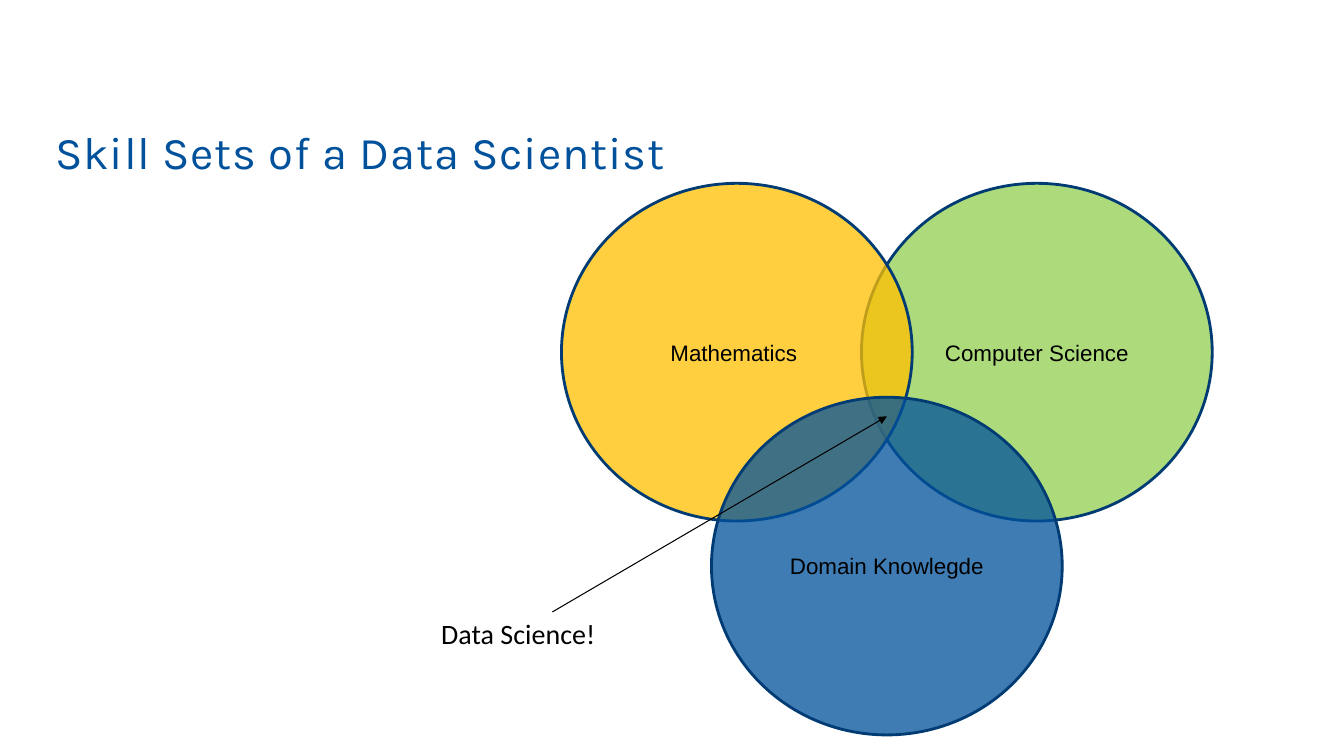
"""Build the slide on the skill sets of a data scientist as a Venn diagram."""
from dataclasses import dataclass

from lxml.etree import SubElement
from pptx import Presentation
from pptx.dml.color import RGBColor
from pptx.enum.shapes import MSO_CONNECTOR, MSO_SHAPE
from pptx.enum.text import MSO_ANCHOR, MSO_AUTO_SIZE, PP_ALIGN
from pptx.oxml.ns import qn
from pptx.util import Cm, Pt


@dataclass(frozen=True)
class Theme:
    blue: str = "00519C"
    outline: str = "003C73"
    green: str = "92D050"
    yellow: str = "FFC000"
    black: str = "000000"
    title_size: float = 32.4
    callout_size: float = 20
    label_size: float = 16
    title_font: str = "Karla"
    label_font: str = "Arial"
    callout_font: str = "Calibri"


theme = Theme()
TITLE = "Skill Sets of a Data Scientist"
CALLOUT = "Data Science!"
SKILLS = [
    ("Computer Science", theme.green, 2, 0),
    ("Mathematics ", theme.yellow, 0, 0),
    ("Domain Knowlegde", theme.blue, 1, 1),
]
VENN_LEFT, VENN_TOP = 14.15, 4.62
STEP_X, STEP_Y = 3.78, 5.39
CIRCLE_WIDTH, CIRCLE_HEIGHT = 8.84, 8.51
OPACITY = 75
ARROW_START, ARROW_END = (13.92, 15.42), (22.35, 10.49)


def write(shape, text, *, font, size, color, align=PP_ALIGN.LEFT,
          anchor=MSO_ANCHOR.TOP, wrap=True, spacing=0):
    frame = shape.text_frame
    frame.word_wrap = wrap
    frame.vertical_anchor = anchor
    paragraph = frame.paragraphs[0]
    paragraph.alignment = align
    run = paragraph.add_run()
    run.text = text
    run.font.name = font
    run.font.size = Pt(size)
    run.font.color.rgb = RGBColor.from_string(color)
    if spacing:
        run.font._element.set("spc", str(round(spacing * 100)))


def add_circle(shapes, label, color, column, row):
    circle = shapes.add_shape(
        MSO_SHAPE.OVAL,
        Cm(VENN_LEFT + column * STEP_X), Cm(VENN_TOP + row * STEP_Y),
        Cm(CIRCLE_WIDTH), Cm(CIRCLE_HEIGHT))
    circle.shadow.inherit = False
    circle.fill.solid()
    circle.fill.fore_color.rgb = RGBColor.from_string(color)
    fill_color = circle._element.spPr.find(qn("a:solidFill"))[0]
    SubElement(fill_color, qn("a:alpha")).set("val", str(OPACITY * 1000))
    circle.line.color.rgb = RGBColor.from_string(theme.outline)
    circle.line.width = Pt(2)
    write(circle, label, font=theme.label_font, size=theme.label_size,
          color=theme.black, align=PP_ALIGN.CENTER, anchor=MSO_ANCHOR.MIDDLE)


def add_arrow(shapes, start, end):
    arrow = shapes.add_connector(
        MSO_CONNECTOR.STRAIGHT, *map(Cm, start), *map(Cm, end))
    arrow.line.color.rgb = RGBColor.from_string(theme.black)
    arrow.line.width = Pt(0.75)
    SubElement(arrow.line._get_or_add_ln(), qn("a:tailEnd")).set("type", "triangle")
    SubElement(arrow._element.spPr, qn("a:effectLst"))


presentation = Presentation()
presentation.slide_width, presentation.slide_height = Cm(33.87), Cm(19.05)
slide = presentation.slides.add_slide(presentation.slide_layouts[5])

title = slide.shapes.title
title.left, title.top, title.width, title.height = map(Cm, (1.14, 2.87, 25.35, 1.75))
write(title, TITLE, font=theme.title_font, size=theme.title_size,
      color=theme.blue, anchor=MSO_ANCHOR.BOTTOM, spacing=0.6)
title.text_frame.auto_size = MSO_AUTO_SIZE.NONE

diagram = slide.shapes.add_group_shape()
for skill in SKILLS:
    add_circle(diagram.shapes, *skill)
add_arrow(diagram.shapes, ARROW_START, ARROW_END)
callout = diagram.shapes.add_textbox(*map(Cm, (10.87, 15.42, 4.45, 1.12)))
write(callout, CALLOUT, font=theme.callout_font, size=theme.callout_size,
      color=theme.black, wrap=False)
callout.text_frame.auto_size = MSO_AUTO_SIZE.SHAPE_TO_FIT_TEXT

presentation.save("out.pptx")
